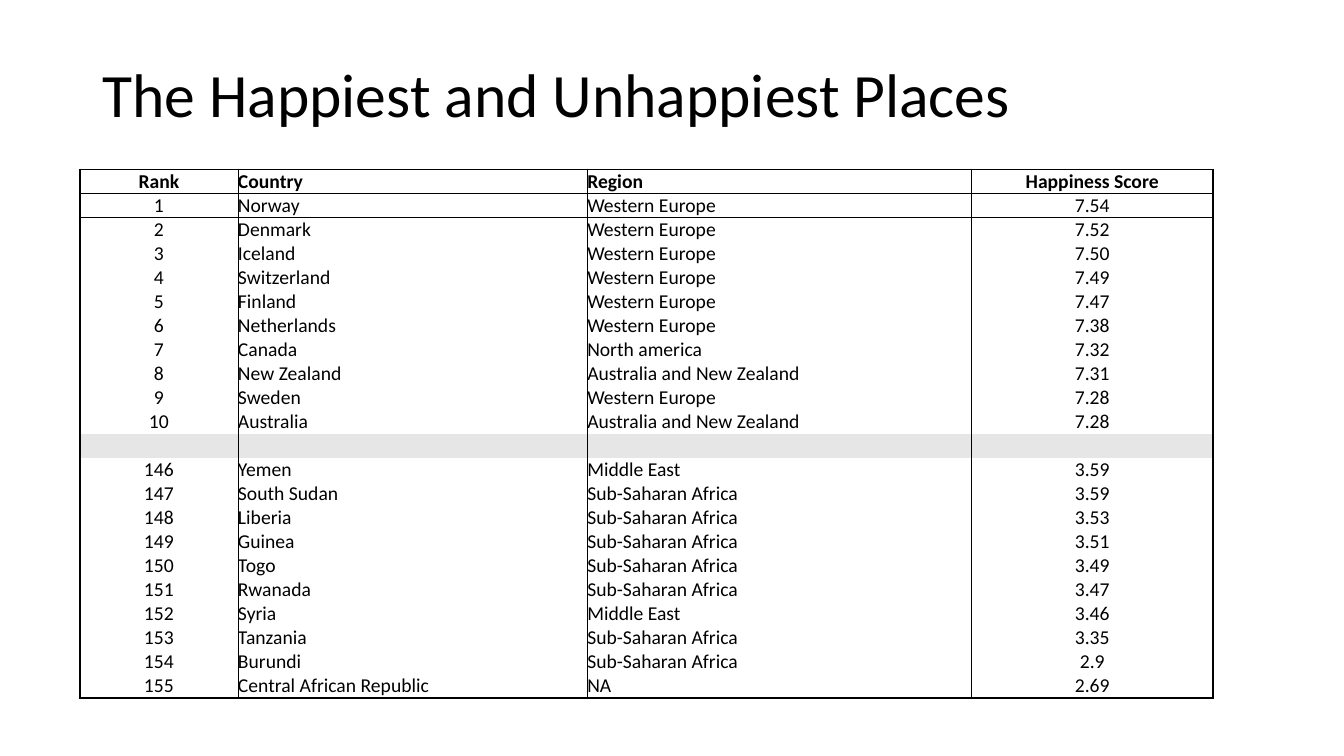
from lxml import etree
from pptx import Presentation
from pptx import util as u
from pptx.dml import color
from pptx.enum import text
from pptx.oxml import ns

HEADER = ("Rank", "Country", "Region", "Happiness Score")
HAPPIEST = [
    ("1", "Norway", "Western Europe", "7.54"),
    ("2", "Denmark", "Western Europe", "7.52"),
    ("3", "Iceland", "Western Europe", "7.50"),
    ("4", "Switzerland", "Western Europe", "7.49"),
    ("5", "Finland", "Western Europe", "7.47"),
    ("6", "Netherlands", "Western Europe", "7.38"),
    ("7", "Canada", "North america", "7.32"),
    ("8", "New Zealand", "Australia and New Zealand", "7.31"),
    ("9", "Sweden", "Western Europe", "7.28"),
    ("10", "Australia", "Australia and New Zealand", "7.28"),
]
UNHAPPIEST = [
    ("146", "Yemen", "Middle East", "3.59"),
    ("147", "South Sudan", "Sub-Saharan Africa", "3.59"),
    ("148", "Liberia", "Sub-Saharan Africa", "3.53"),
    ("149", "Guinea", "Sub-Saharan Africa", "3.51"),
    ("150", "Togo", "Sub-Saharan Africa", "3.49"),
    ("151", "Rwanada", "Sub-Saharan Africa", "3.47"),
    ("152", "Syria", "Middle East", "3.46"),
    ("153", "Tanzania", "Sub-Saharan Africa", "3.35"),
    ("154", "Burundi", "Sub-Saharan Africa", "2.9"),
    ("155", "Central African Republic", "NA", "2.69"),
]
SEPARATOR = ("",) * len(HEADER)
COLUMN_WIDTHS = (113, 249.5, 274.5, 172.5)
CENTRED_COLUMNS = (0, 3)
ROW_HEIGHT = 17.15
NO_STYLE = "{2D5ABB26-0587-4C30-8999-92F81FD0307C}"


def rgb(value):
    return color.RGBColor.from_string(value)


class SlideBuilder:
    """Hold the style and the current slide, and add its elements."""

    font = "Calibri"
    ink, paper, band = "000000", "FFFFFF", "E7E6E6"
    title_size, table_size = 44, 14
    thick, thin = 1.5, 0.5

    def __init__(self, presentation):
        self.slide = presentation.slides.add_slide(presentation.slide_layouts[5])

    def run(self, paragraph, words, size, bold=False):
        run = paragraph.add_run()
        run.text = words
        run.font.name = self.font
        run.font.size = u.Pt(size)
        run.font.bold = bold
        run.font.color.rgb = rgb(self.ink)

    def title(self, words, left, top, width, height):
        shape = self.slide.shapes.title
        shape.left, shape.top = u.Pt(left), u.Pt(top)
        shape.width, shape.height = u.Pt(width), u.Pt(height)
        shape.text_frame.vertical_anchor = text.MSO_ANCHOR.MIDDLE
        paragraph = shape.text_frame.paragraphs[0]
        paragraph.alignment = text.PP_ALIGN.LEFT
        paragraph.line_spacing = 0.9
        self.run(paragraph, words, self.title_size)

    def border(self, cell, side, width):
        line = etree.SubElement(cell._tc.get_or_add_tcPr(), ns.qn(f"a:ln{side}"),
                                w=str(u.Pt(width)))
        fill = etree.SubElement(line, ns.qn("a:solidFill"))
        etree.SubElement(fill, ns.qn("a:srgbClr"), val=self.ink)

    def cell(self, cell, words, centred, bold, borders):
        for side, width in borders.items():
            self.border(cell, side, width)
        cell.fill.solid()
        cell.fill.fore_color.rgb = rgb(self.paper if words else self.band)
        cell.margin_left = cell.margin_right = 0
        cell.margin_top = cell.margin_bottom = 0
        cell.vertical_anchor = text.MSO_ANCHOR.BOTTOM
        paragraph = cell.text_frame.paragraphs[0]
        paragraph.alignment = text.PP_ALIGN.CENTER if centred else text.PP_ALIGN.LEFT
        if words:
            self.run(paragraph, words, self.table_size, bold)
        else:
            etree.SubElement(paragraph._p, ns.qn("a:endParaRPr"),
                             sz=str(self.table_size * 100))

    def table(self, rows, left, top, widths, row_height):
        last_row, last_column = len(rows) - 1, len(widths) - 1
        table = self.slide.shapes.add_table(
            len(rows), len(widths), u.Pt(left), u.Pt(top),
            u.Pt(sum(widths)), u.Pt(row_height * len(rows))).table
        table.horz_banding = False
        table._tbl.tblPr.find(ns.qn("a:tableStyleId")).text = NO_STYLE
        for column, width in zip(table.columns, widths):
            column.width = u.Pt(width)
        for r, row in enumerate(rows):
            table.rows[r].height = u.Pt(row_height)
            for c, words in enumerate(row):
                borders = {"L": self.thin if c else self.thick,
                           "R": self.thick if c == last_column else self.thin}
                if r in (0, 1):
                    borders["T"] = self.thick
                if r in (0, last_row):
                    borders["B"] = self.thick
                self.cell(table.cell(r, c), words, c in CENTRED_COLUMNS, r == 0, borders)


def main():
    presentation = Presentation()
    presentation.slide_width, presentation.slide_height = u.Pt(960), u.Pt(540)
    builder = SlideBuilder(presentation)
    builder.title("The Happiest and Unhappiest Places", 66, 17.25, 828, 104.5)
    builder.table([HEADER, *HAPPIEST, SEPARATOR, *UNHAPPIEST],
                  57, 121, COLUMN_WIDTHS, ROW_HEIGHT)
    presentation.save("out.pptx")


if __name__ == "__main__":
    main()
